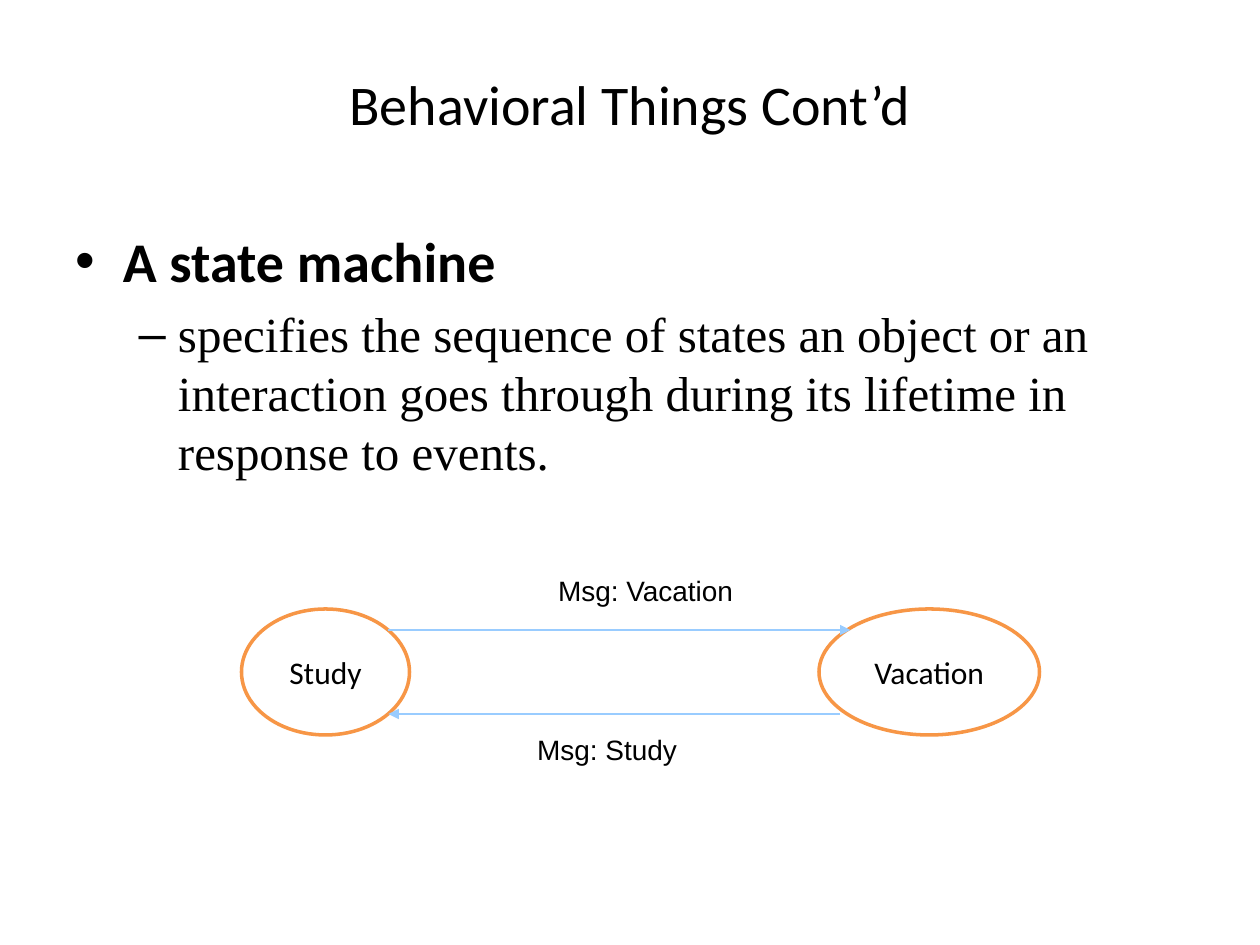
from lxml import etree
from pptx import Presentation
from pptx.dml.color import RGBColor
from pptx.enum.shapes import MSO_CONNECTOR, MSO_SHAPE
from pptx.enum.text import MSO_ANCHOR, PP_ALIGN
from pptx.oxml.ns import qn
from pptx.util import Pt

OVAL, STRAIGHT = MSO_SHAPE.OVAL, MSO_CONNECTOR.STRAIGHT
LEFT, CENTER = PP_ALIGN.LEFT, PP_ALIGN.CENTER
TOP, MIDDLE = MSO_ANCHOR.TOP, MSO_ANCHOR.MIDDLE
BLACK = RGBColor(0x00, 0x00, 0x00)
WHITE = RGBColor(0xFF, 0xFF, 0xFF)
ORANGE = RGBColor(0xF7, 0x96, 0x46)
SKY = RGBColor(0x99, 0xCC, 0xFF)

# Content
TITLE = "Behavioral Things Cont’d"
TERM = "A state machine"
MEANING = ("specifies the sequence of states an object or an interaction goes "
           "through during its lifetime in response to events.")
STATE_TOP, STATE_HEIGHT = 348, 72
STATES = [("Study", 138, 96), ("Vacation", 468, 126)]  # name, left, width
TRANSITIONS = [(222, 486, 360), (480, 222, 408)]  # from x, to x, y
LABEL_WIDTH, LABEL_HEIGHT, LABEL_INSET = 198, 27, 43
LABELS = [("Msg: Vacation", 252, 324, CENTER),  # text, left, top, alignment
          ("Msg: Study", 264, 415, LEFT)]


def place(sp, left, top, width, height):
    sp.left, sp.top, sp.width, sp.height = map(Pt, (left, top, width, height))


def write(p, text, size=18, font="Calibri", bold=False, align=None, level=0, before=0):
    p.level = level
    p.alignment = align
    p.space_before = Pt(before)
    r = p.add_run()
    r.text = text
    r.font.size, r.font.name, r.font.bold = Pt(size), font, bold
    r.font.color.rgb = BLACK


prs = Presentation()
prs.slide_width, prs.slide_height = Pt(720), Pt(540)
s = prs.slides.add_slide(prs.slide_layouts[1])

# Title and definition
title, body = s.placeholders
place(title, 36, 21.6, 648, 74.4)
title.text_frame.vertical_anchor = MIDDLE
write(title.text_frame.paragraphs[0], TITLE, size=32, align=CENTER)
place(body, 36, 126, 648, 356.4)
tf = body.text_frame
tf.vertical_anchor = TOP
write(tf.paragraphs[0], TERM, size=32, bold=True)
write(tf.add_paragraph(), MEANING, size=28, font="Times New Roman", level=1, before=5.6)

# States
for name, left, width in STATES:
    sp = s.shapes.add_shape(OVAL, Pt(left), Pt(STATE_TOP), Pt(width), Pt(STATE_HEIGHT))
    sp.shadow.inherit = False
    sp.fill.solid()
    sp.fill.fore_color.rgb = WHITE
    sp.line.color.rgb = ORANGE
    sp.line.width = Pt(2)
    sp.text_frame.vertical_anchor = MIDDLE
    write(sp.text_frame.paragraphs[0], name, align=CENTER)

# Transitions
for x1, x2, y in TRANSITIONS:
    arrow = s.shapes.add_connector(STRAIGHT, Pt(x1), Pt(y), Pt(x2), Pt(y))
    arrow.line.color.rgb = SKY
    arrow.line.width = Pt(0.75)
    etree.SubElement(arrow.line._get_or_add_ln(), qn("a:tailEnd"), type="triangle")
    etree.SubElement(arrow._element.spPr, qn("a:effectLst"))

# Messages
for text, left, top, align in LABELS:
    label = s.shapes.add_textbox(Pt(left), Pt(top), Pt(LABEL_WIDTH), Pt(LABEL_HEIGHT))
    tf = label.text_frame
    tf.word_wrap = True
    tf.margin_left = Pt(LABEL_INSET)
    write(tf.paragraphs[0], text, size=16, font="Arial", align=align)

prs.save("out.pptx")
